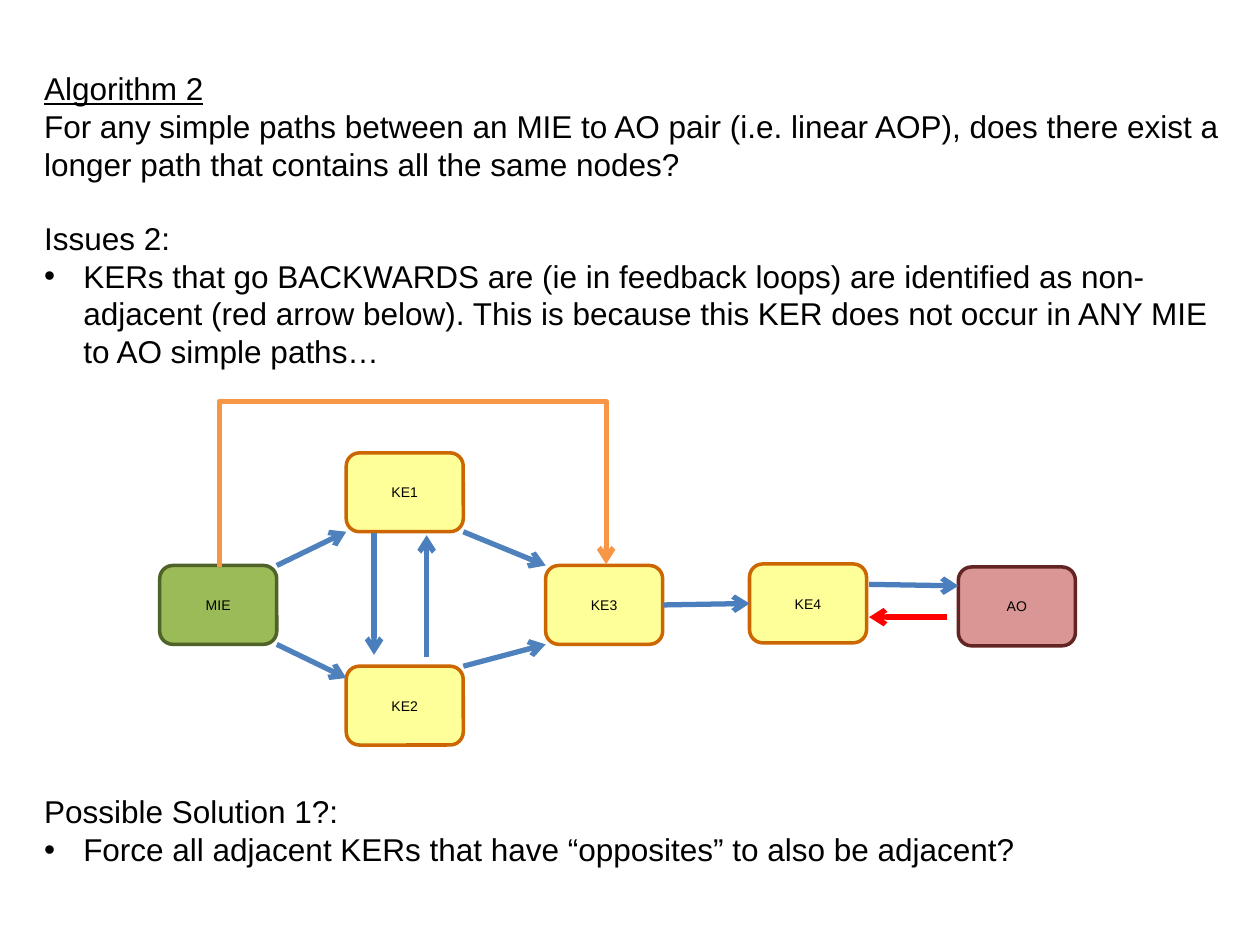
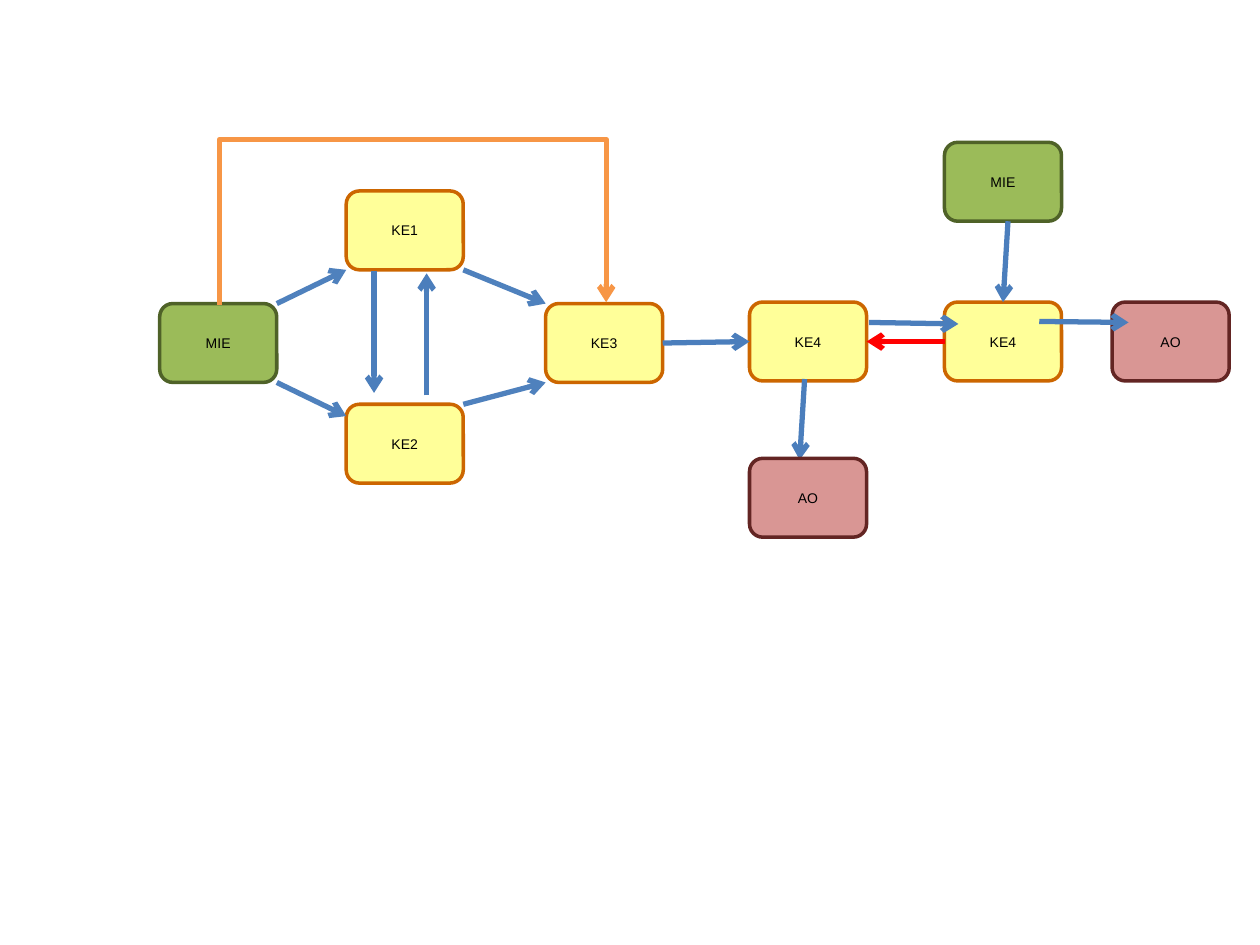
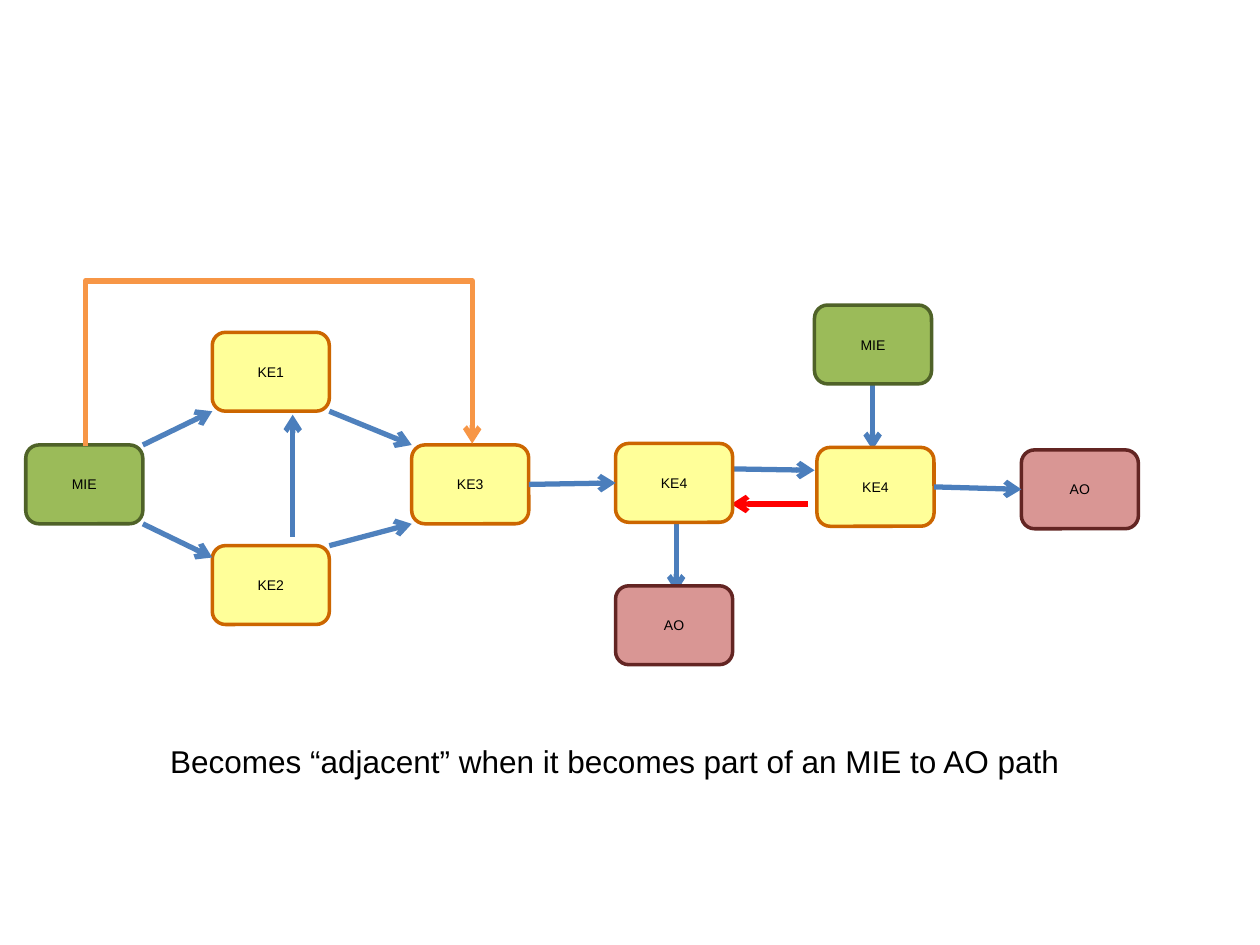
from dataclasses import dataclass

from lxml import etree
from pptx import Presentation
from pptx.dml.color import RGBColor
from pptx.enum.shapes import MSO_CONNECTOR, MSO_SHAPE
from pptx.enum.text import MSO_ANCHOR, MSO_AUTO_SIZE, PP_ALIGN
from pptx.oxml.ns import qn
from pptx.slide import Slide
from pptx.util import Cm, Pt

STRAIGHT, ELBOW = MSO_CONNECTOR.STRAIGHT, MSO_CONNECTOR.ELBOW
ROUNDED = MSO_SHAPE.ROUNDED_RECTANGLE
CENTER, MIDDLE = PP_ALIGN.CENTER, MSO_ANCHOR.MIDDLE
GROW = MSO_AUTO_SIZE.SHAPE_TO_FIT_TEXT
TOP, LEFT, BOTTOM, RIGHT = range(4)

BLACK = RGBColor(0x00, 0x00, 0x00)
GREEN, DARK_GREEN = RGBColor(0x9B, 0xBB, 0x59), RGBColor(0x4F, 0x62, 0x28)
YELLOW, BROWN = RGBColor(0xFF, 0xFF, 0x99), RGBColor(0xCC, 0x66, 0x00)
PINK, MAROON = RGBColor(0xD9, 0x96, 0x94), RGBColor(0x63, 0x25, 0x23)
BLUE, FLOW_BLUE = RGBColor(0x4F, 0x81, 0xBD), RGBColor(0x4B, 0x7E, 0xBC)
ORANGE, RED = RGBColor(0xF7, 0x96, 0x46), RGBColor(0xFF, 0x00, 0x00)

FONT = "Arial"
NODE_W, NODE_H = 2.36, 1.59
NODE_COLOURS = {"MIE": (GREEN, DARK_GREEN), "AO": (PINK, MAROON)}
KE_COLOURS = (YELLOW, BROWN)

# Event positions in cm, measured from the corner of the first MIE
MIE, KE1, KE2 = (0, 0), (3.76, -2.27), (3.76, 2.03)
KE3, KE4 = (7.78, 0), (11.89, -0.03)
LOOP_DOWN = ((4.32, -0.66), (4.32, 1.8))
LOOP_UP = ((5.38, 1.85), (5.38, -0.61))


def add_span(para, text, size, underline=False):
    span = para.add_run()
    span.text = text
    span.font.name, span.font.size = FONT, Pt(size)
    span.font.color.rgb = BLACK
    if underline:
        span.font.underline = True


def add_bullet(para):
    props = para._p.get_or_add_pPr()
    props.set("marL", str(Cm(0.79)))
    props.set("indent", str(-Cm(0.79)))
    etree.SubElement(props, qn("a:buFont")).set("typeface", FONT)
    etree.SubElement(props, qn("a:buChar")).set("char", "•")


def add_text(page, box, lines):
    """Each line is (text, style), style being plain, underline, spaced or bullet."""
    frame = page.shapes.add_textbox(*map(Cm, box)).text_frame
    frame.word_wrap, frame.auto_size = True, GROW
    for index, (text, style) in enumerate(lines):
        para = frame.add_paragraph() if index else frame.paragraphs[0]
        if style == "spaced":
            para.space_before = Pt(20.7)
        if style == "bullet":
            add_bullet(para)
        add_span(para, text, 18, style == "underline")


def style_arrow(connector, colour):
    connector.line.color.rgb = colour
    connector.line.width = Pt(3)
    props = connector._element.spPr
    etree.SubElement(props.find(qn("a:ln")), qn("a:tailEnd")).set("type", "arrow")
    etree.SubElement(props, qn("a:effectLst"))


def corner(node, right, bottom):
    return node[0] + right * NODE_W, node[1] + bottom * NODE_H


@dataclass
class Board:
    """A pathway diagram whose first MIE has its corner at left, top."""
    page: Slide
    left: float
    top: float

    def place(self, x, y):
        return Cm(self.left + x), Cm(self.top + y)

    def node(self, name, position):
        shape = self.page.shapes.add_shape(
            ROUNDED, *self.place(*position), Cm(NODE_W), Cm(NODE_H))
        fill, edge = NODE_COLOURS.get(name, KE_COLOURS)
        shape.shadow.inherit = False
        shape.fill.solid()
        shape.fill.fore_color.rgb = fill
        shape.line.color.rgb, shape.line.width = edge, Pt(2)
        frame = shape.text_frame
        frame.vertical_anchor = MIDDLE
        frame.paragraphs[0].alignment = CENTER
        add_span(frame.paragraphs[0], name, 8)
        return shape

    def arrow(self, start, end, colour=FLOW_BLUE):
        """Each end is a point (x, y) or a join (shape, side)."""
        joins = [hasattr(item[0], "shape_id") for item in (start, end)]
        points = [(0, 0) if joined else self.place(*item)
                  for joined, item in zip(joins, (start, end))]
        connector = self.page.shapes.add_connector(STRAIGHT, *points[0], *points[1])
        if joins[0]:
            connector.begin_connect(*start)
        if joins[1]:
            connector.end_connect(*end)
        style_arrow(connector, colour)

    def bypass(self, rise=3.33, drop=0.05):
        """Elbow from the top of MIE over KE1 to the top of KE3."""
        span = KE3[0] + 0.02
        x, y = NODE_W / 2 + 0.02 + span / 2, 0
        connector = self.page.shapes.add_connector(
            ELBOW, *self.place(x + drop / 2, y + span / 2),
            *self.place(x - drop / 2, y - span / 2))
        props = connector._element.spPr
        props.find(qn("a:xfrm")).set("rot", "5400000")
        guide = etree.SubElement(
            props.find(qn("a:prstGeom")).find(qn("a:avLst")), qn("a:gd"))
        guide.set("name", "adj1")
        guide.set("fmla", f"val {round(100000 * rise / drop)}")
        style_arrow(connector, ORANGE)

    def network(self, loops):
        """Part common to all slides; returns the KE4 shape."""
        self.node("MIE", MIE)
        ke3 = self.node("KE3", KE3)
        self.node("KE2", KE2)
        self.node("KE1", KE1)
        self.arrow(corner(MIE, 1, 0), corner(KE1, 0, 1), BLUE)
        self.arrow(corner(MIE, 1, 1), corner(KE2, 0, 0.15), BLUE)
        self.arrow(corner(KE1, 1, 1), corner(KE3, 0, 0), BLUE)
        self.arrow(corner(KE2, 1, 0), corner(KE3, 0, 1), BLUE)
        self.bypass()
        for start, end in loops:
            self.arrow(start, end)
        ke4 = self.node("KE4", KE4)
        self.arrow((ke3, RIGHT), (ke4, LEFT))
        return ke4


def build_issue_page(page):
    add_text(page, (0.64, 1.27, 24.56, 8.71), [
        ("Algorithm 2", "underline"),
        ("For any simple paths between an MIE to AO pair (i.e. linear AOP), does "
         "there exist a longer path that contains all the same nodes?", "plain"),
        ("Issues 2:", "spaced"),
        ("KERs that go BACKWARDS are (ie in feedback loops) are identified as "
         "non-adjacent (red arrow below). This is because this KER does not occur "
         "in ANY MIE to AO simple paths…", "bullet"),
    ])
    board = Board(page, 3.22, 11.4)
    board.network([LOOP_DOWN, LOOP_UP])
    board.node("AO", (16.1, 0.03))
    board.arrow((14.3, 0.38), (16.1, 0.41))
    board.arrow((15.88, 1.04), (14.3, 1.04), RED)
    add_text(page, (0.64, 15.85, 23.9, 1.8), [
        ("Possible Solution 1?:", "plain"),
        ("Force all adjacent KERs that have “opposites” to also be adjacent?", "bullet"),
    ])


def build_branch_page(page):
    board = Board(page, 3.22, 6.12)
    ke4 = board.network([LOOP_DOWN, LOOP_UP])
    board.node("AO", (19.2, -0.03))
    board.node("MIE", (15.82, -3.25))
    second_ke4 = board.node("KE4", (15.82, -0.03))
    board.arrow((second_ke4, LEFT), (ke4, RIGHT), RED)
    board.arrow((17.73, 0.36), (19.53, 0.38))
    board.arrow((17.1, -1.66), (second_ke4, TOP))
    board.arrow((14.3, 0.38), (16.1, 0.41))
    board.arrow((13, 1.52), (12.9, 3.15))
    board.node("AO", (KE4[0], 3.12))


def build_adjacent_page(page):
    board = Board(page, 0.52, 8.97)
    # Arrows that run behind the events
    board.arrow((13.11, 0.51), (13.11, 2.97))
    board.arrow((14.1, 0.48), (15.9, 0.51))
    board.arrow((15.77, 1.19), (14.22, 1.19), RED)
    board.arrow((17.07, -2.36), (17.07, 0.1))
    board.network([LOOP_UP])
    end_ao = board.node("AO", (20.07, 0.1))
    board.node("MIE", (15.9, -2.82))
    second_ke4 = board.node("KE4", (15.95, 0.05))
    board.arrow((second_ke4, RIGHT), (end_ao, LEFT))
    board.node("AO", (KE4[0], 2.84))
    add_text(page, (3.18, 14.83, 19.25, 1.02), [
        ("Becomes “adjacent” when it becomes part of an MIE to AO path", "plain"),
    ])


def main():
    deck = Presentation()
    deck.slide_width, deck.slide_height = Cm(25.4), Cm(19.05)
    for build in (build_issue_page, build_branch_page, build_adjacent_page):
        build(deck.slides.add_slide(deck.slide_layouts[6]))
    deck.save("out.pptx")


if __name__ == "__main__":
    main()
